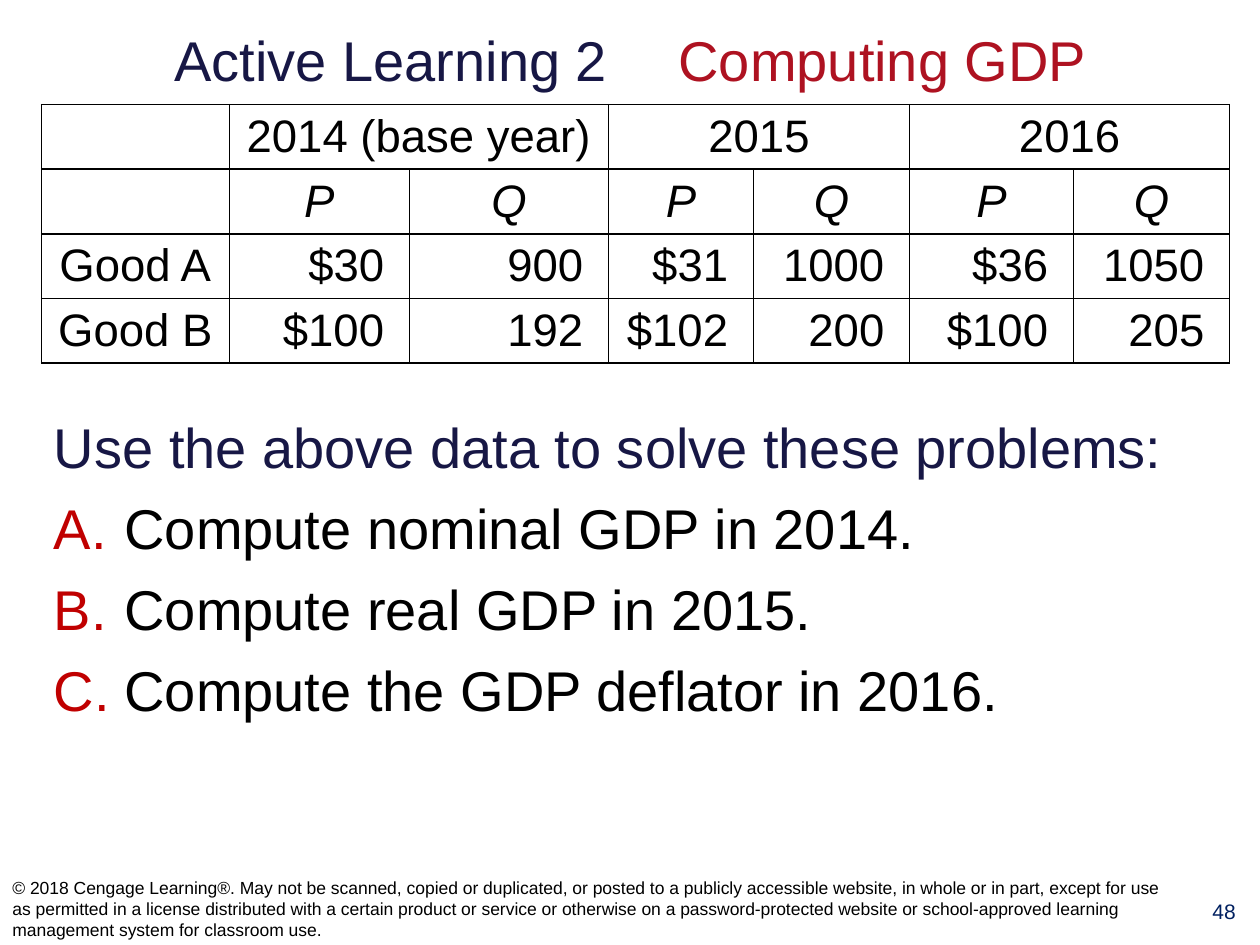
from lxml.etree import SubElement
from pptx import Presentation
from pptx.dml.color import RGBColor
from pptx.enum.text import MSO_ANCHOR as Anchor, PP_ALIGN as Align
from pptx.oxml.ns import qn
from pptx.util import Inches, Pt

COLORS = {"navy": "171745", "crimson": "AE1221", "marker": "C00000",
          "number": "002060", "text": "000000", "paper": "FFFFFF"}
FONT = "Arial"
COLUMN_WIDTHS = [1.49, 1.43, 1.58, 1.15, 1.24, 1.3, 1.24]
ROW_HEIGHT = 2.02 / 4
YEARS = ["2014 (base year)", "2015", "2016"]
GOODS = [["Good A", "$30", "900", "$31", "1000", "$36", "1050"],
         ["Good B", "$100", "192", "$102", "200", "$100", "205"]]
PROBLEMS = ["Compute nominal GDP in 2014.", "Compute real GDP in 2015.",
            "Compute the GDP deflator in 2016."]
COPYRIGHT = (
    "© 2018 Cengage Learning®. May not be scanned, copied or duplicated, or posted to a "
    "publicly accessible website, in whole or in part, except for use as permitted in a "
    "license distributed with a certain product or service or otherwise on a "
    "password-protected website or school-approved learning management system for "
    "classroom use.")


def add_text(paragraph, text, size=32, color="text", italic=False, align=Align.LEFT):
    """Append a formatted run to a paragraph."""
    paragraph.alignment = align
    run = paragraph.add_run()
    run.text = text
    run.font.name = FONT
    run.font.size = Pt(size)
    run.font.italic = italic
    run.font.color.rgb = RGBColor.from_string(COLORS[color])


def add_box(slide, left, top, width, height, anchor=Anchor.TOP):
    """Add a wrapping text box and return its text frame."""
    box = slide.shapes.add_textbox(Inches(left), Inches(top), Inches(width), Inches(height))
    frame = box.text_frame
    frame.word_wrap = True
    frame.vertical_anchor = anchor
    return frame


def add_title(slide):
    """Place the two-coloured title in its placeholder."""
    title = slide.shapes.title
    title.left, title.top = Inches(0.17), Inches(0.11)
    title.width, title.height = Inches(9.67), Inches(0.72)
    frame = title.text_frame
    frame.word_wrap = False
    frame.vertical_anchor = Anchor.MIDDLE
    paragraph = frame.paragraphs[0]
    add_text(paragraph, "Active Learning 2\t\t", color="navy", align=Align.CENTER)
    add_text(paragraph, "Computing GDP", color="crimson", align=Align.CENTER)


def number_paragraph(paragraph):
    """Give a paragraph a hanging, coloured letter marker."""
    properties = paragraph._p.get_or_add_pPr()
    properties.set("marL", str(Inches(0.56)))
    properties.set("indent", str(Inches(-0.56)))
    color = SubElement(properties, qn("a:buClr"))
    SubElement(color, qn("a:srgbClr"), val=COLORS["marker"])
    SubElement(properties, qn("a:buFont"), typeface=FONT)
    SubElement(properties, qn("a:buAutoNum"), type="alphaUcPeriod")


def add_problems(slide):
    """Add the instruction and its lettered problems."""
    frame = add_box(slide, 0.33, 3.17, 9.5, 3.89)
    frame.margin_top = Inches(0.1)
    add_text(frame.paragraphs[0], "Use the above data to solve these problems:", color="navy")
    for problem in PROBLEMS:
        paragraph = frame.add_paragraph()
        paragraph.space_before = Pt(8)
        number_paragraph(paragraph)
        add_text(paragraph, problem)


def format_cell(cell):
    """Fill a cell and draw its four borders."""
    properties = cell._tc.get_or_add_tcPr()
    for side in ("a:lnL", "a:lnR", "a:lnT", "a:lnB"):
        line = SubElement(properties, qn(side), w=str(Pt(1)))
        fill = SubElement(line, qn("a:solidFill"))
        SubElement(fill, qn("a:srgbClr"), val=COLORS["text"])
    cell.fill.solid()
    cell.fill.fore_color.rgb = RGBColor.from_string(COLORS["paper"])
    cell.vertical_anchor = Anchor.MIDDLE
    cell.margin_left = Inches(0.05)
    cell.margin_top = cell.margin_bottom = Inches(0.04)


def add_price_table(slide):
    """Add the table of prices and quantities by year."""
    shape = slide.shapes.add_table(4, len(COLUMN_WIDTHS), Inches(0.33), Inches(0.83),
                                   Inches(sum(COLUMN_WIDTHS)), Inches(4 * ROW_HEIGHT))
    table = shape.table
    for column, width in zip(table.columns, COLUMN_WIDTHS):
        column.width = Inches(width)
    for row in table.rows:
        row.height = Inches(ROW_HEIGHT)
    year_row = [""]
    for index, year in enumerate(YEARS):
        year_row += [year, ""]
        first = 2 * index + 1
        table.cell(0, first).merge(table.cell(0, first + 1))
    rows = [year_row, [""] + ["P", "Q"] * len(YEARS), *GOODS]
    for row_index, values in enumerate(rows):
        for column_index, value in enumerate(values):
            cell = table.cell(row_index, column_index)
            format_cell(cell)
            is_number = row_index > 1 and column_index > 0
            cell.margin_right = Inches(0.2 if is_number else 0.05)
            if value:
                add_text(cell.text_frame.paragraphs[0], value, size=26,
                         italic=row_index == 1,
                         align=Align.RIGHT if is_number else Align.CENTER)


def add_footer(slide):
    """Add the page number and the copyright line."""
    number = add_box(slide, 9.43, 7.08, 0.57, 0.41)
    add_text(number.paragraphs[0], "48", size=12, color="number", align=Align.CENTER)
    notice = add_box(slide, 0, 6.92, 9.41, 0.58, anchor=Anchor.MIDDLE)
    add_text(notice.paragraphs[0], COPYRIGHT, size=10)


def main():
    """Build and save the slide."""
    presentation = Presentation()
    presentation.slide_width, presentation.slide_height = Inches(10), Inches(7.5)
    slide = presentation.slides.add_slide(presentation.slide_layouts[5])
    add_title(slide)
    add_problems(slide)
    add_footer(slide)
    add_price_table(slide)
    presentation.save("out.pptx")


if __name__ == "__main__":
    main()
